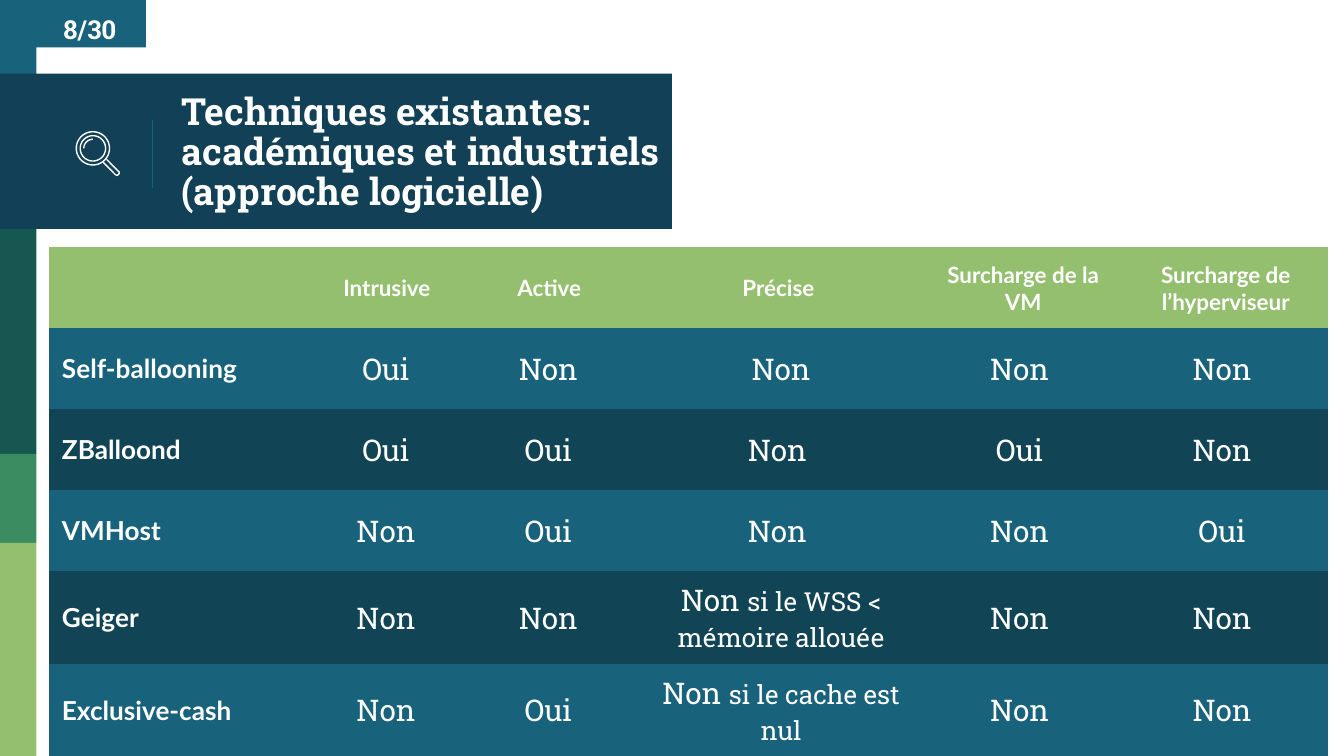
import math

from lxml import etree
from pptx import Presentation
from pptx import util as u
from pptx.dml.color import RGBColor
from pptx.enum import shapes, text
from pptx.oxml import ns

WHITE, TEAL, NAVY, DARK, LIME = "FFFFFF", "18637B", "124057", "114454", "94BF6E"
SLAB, SANS = "Roboto Slab", "Lato"
NO_GRID_STYLE = "{2D5ABB26-0587-4C30-8999-92F81FD0307C}"


def color(hex_string):
    return RGBColor.from_string(hex_string)


def arc(center_x, center_y, radius, start, end, steps):
    """Points along an arc, with angles in degrees."""
    angles = [math.radians(start + (end - start) * i / steps) for i in range(steps + 1)]
    return [(center_x + radius * math.cos(a), center_y + radius * math.sin(a)) for a in angles]


class SlideBuilder:
    """Adds styled elements to one slide; all lengths are points."""

    def __init__(self, slide, line_color=WHITE, line_width=0.75):
        self.slide = slide
        self.line_color = line_color
        self.line_width = line_width

    def format_font(self, font, size, name, bold):
        font.size, font.name, font.bold = u.Pt(size), name, bold
        font.color.rgb = color(WHITE)

    def format_line(self, line, hex_string):
        line.color.rgb = color(hex_string)
        line.width = u.Pt(self.line_width)

    def set_insets(self, target, horizontal, vertical):
        target.margin_left = target.margin_right = u.Pt(horizontal)
        target.margin_top = target.margin_bottom = u.Pt(vertical)

    def rectangle(self, left, top, width, height, fill):
        shape = self.slide.shapes.add_shape(
            shapes.MSO_SHAPE.RECTANGLE, u.Pt(left), u.Pt(top), u.Pt(width), u.Pt(height))
        shape.shadow.inherit = False
        shape.fill.solid()
        shape.fill.fore_color.rgb = color(fill)
        shape.line.fill.background()
        return shape

    def label(self, left, top, width, height, fill, words):
        frame = self.rectangle(left, top, width, height, fill).text_frame
        self.set_insets(frame, 7.2, 7.2)
        frame.vertical_anchor = text.MSO_ANCHOR.TOP
        paragraph = frame.paragraphs[0]
        paragraph.text = words
        paragraph.alignment = text.PP_ALIGN.CENTER
        self.format_font(paragraph.font, 14, SLAB, True)

    def line(self, x1, y1, x2, y2, hex_string):
        connector = self.slide.shapes.add_connector(
            shapes.MSO_CONNECTOR.STRAIGHT, u.Pt(x1), u.Pt(y1), u.Pt(x2), u.Pt(y2))
        self.format_line(connector.line, hex_string)
        etree.SubElement(connector._element.spPr, ns.qn("a:effectLst"))

    def outline(self, points, close=False):
        points = [(u.Pt(x), u.Pt(y)) for x, y in points]
        builder = self.slide.shapes.build_freeform(*points[0])
        builder.add_line_segments(points[1:], close=close)
        shape = builder.convert_to_shape()
        shape.shadow.inherit = False
        shape.fill.background()
        self.format_line(shape.line, self.line_color)

    def title(self, left, top, width, height, words):
        shape = self.slide.shapes.title
        shape.left, shape.top = u.Pt(left), u.Pt(top)
        shape.width, shape.height = u.Pt(width), u.Pt(height)
        frame = shape.text_frame
        frame.word_wrap = True
        frame.auto_size = text.MSO_AUTO_SIZE.NONE
        frame.vertical_anchor = text.MSO_ANCHOR.MIDDLE
        self.set_insets(frame, 7.2, 7.2)
        paragraph = frame.paragraphs[0]
        paragraph.text = words
        paragraph.alignment = text.PP_ALIGN.LEFT
        paragraph.line_spacing = 0.9
        self.format_font(paragraph.font, 20, SLAB, True)
        # Bring the title in front of the banner
        self.slide.shapes._spTree.append(shape._element)

    def cell(self, cell, content, fill, size, name, bold, alignment):
        """Content is a string, or a pair whose second part is set smaller."""
        cell.fill.solid()
        cell.fill.fore_color.rgb = color(fill)
        cell.vertical_anchor = text.MSO_ANCHOR.MIDDLE
        self.set_insets(cell, 7.2, 5)
        paragraph = cell.text_frame.paragraphs[0]
        paragraph.alignment = alignment
        self.format_font(paragraph.font, size, name, bold)
        main, *details = [content] if isinstance(content, str) else content
        if main:
            paragraph.add_run().text = main
        for detail in details:
            run = paragraph.add_run()
            run.text = detail
            run.font.size = u.Pt(14)

    def table(self, left, top, widths, row_height, rows):
        table = self.slide.shapes.add_table(
            len(rows), len(widths), u.Pt(left), u.Pt(top),
            u.Pt(sum(widths)), u.Pt(row_height * len(rows))).table
        table._tbl.tblPr.find(ns.qn("a:tableStyleId")).text = NO_GRID_STYLE
        for column, width in zip(table.columns, widths):
            column.width = u.Pt(width)
        for i, row in enumerate(rows):
            table.rows[i].height = u.Pt(row_height)
            fill = LIME if i == 0 else (DARK, TEAL)[i % 2]
            for j, content in enumerate(row):
                if i == 0:
                    style = 12, SANS, True, text.PP_ALIGN.CENTER
                elif j == 0:
                    style = 14, SANS, True, text.PP_ALIGN.LEFT
                else:
                    style = 16, SLAB, False, text.PP_ALIGN.CENTER
                self.cell(table.cell(i, j), content, fill, *style)


def main():
    presentation = Presentation()
    presentation.slide_width, presentation.slide_height = u.Pt(720), u.Pt(405)
    builder = SlideBuilder(presentation.slides.add_slide(presentation.slide_layouts[5]))

    # Side strip and title banner
    builder.rectangle(0, 0, 19.5, 42, TEAL)
    builder.rectangle(0, 39.5, 360, 83.2, NAVY)
    strip = [("165751", 122.7, 243.2), ("3B8D61", 243.2, 290.8), (LIME, 290.8, 405)]
    for fill, top, bottom in strip:
        builder.rectangle(0, top, 19.5, bottom - top, fill)
    builder.line(81.6, 64.2, 81.6, 100.8, TEAL)
    builder.title(90, 41.8, 275.8, 80.6,
                  "Techniques existantes: académiques et industriels (approche logicielle)")

    # Magnifying glass: rim, lens, glint and handle
    center = 49.8, 79.5
    for radius in (8.9, 6.8):
        builder.outline(arc(*center, radius, 0, 360, 48)[:-1], close=True)
    builder.outline(arc(*center, 4.9, 180, 270, 12))
    builder.outline([(55.4, 87), (61.8, 93.5), (62.7, 94), (63.5, 93.5),
                     (63.9, 92.9), (63.9, 92.2), (57.2, 85.4)])

    # Comparison of techniques
    yes, no = "Oui ", "Non "
    builder.table(26, 132.5, [142.5, 80.5, 93.5, 152, 107.5, 109.5], 43.4, [
        ["", "Intrusive ", "Active ", "Précise ", "Surcharge de la VM",
         "Surcharge de l’hyperviseur"],
        ["Self-ballooning", yes, no, "Non", no, no],
        ["ZBalloond", yes, yes, no, yes, no],
        ["VMHost", no, yes, no, no, yes],
        ["Geiger", no, no, (no, "si le WSS < mémoire allouée"), no, no],
        ["Exclusive-cash", no, yes, (no, "si le cache est nul"), no, no],
    ])

    # Page tab
    builder.label(18.2, 0, 60, 25.4, TEAL, "8/30")

    presentation.save("out.pptx")


if __name__ == "__main__":
    main()
